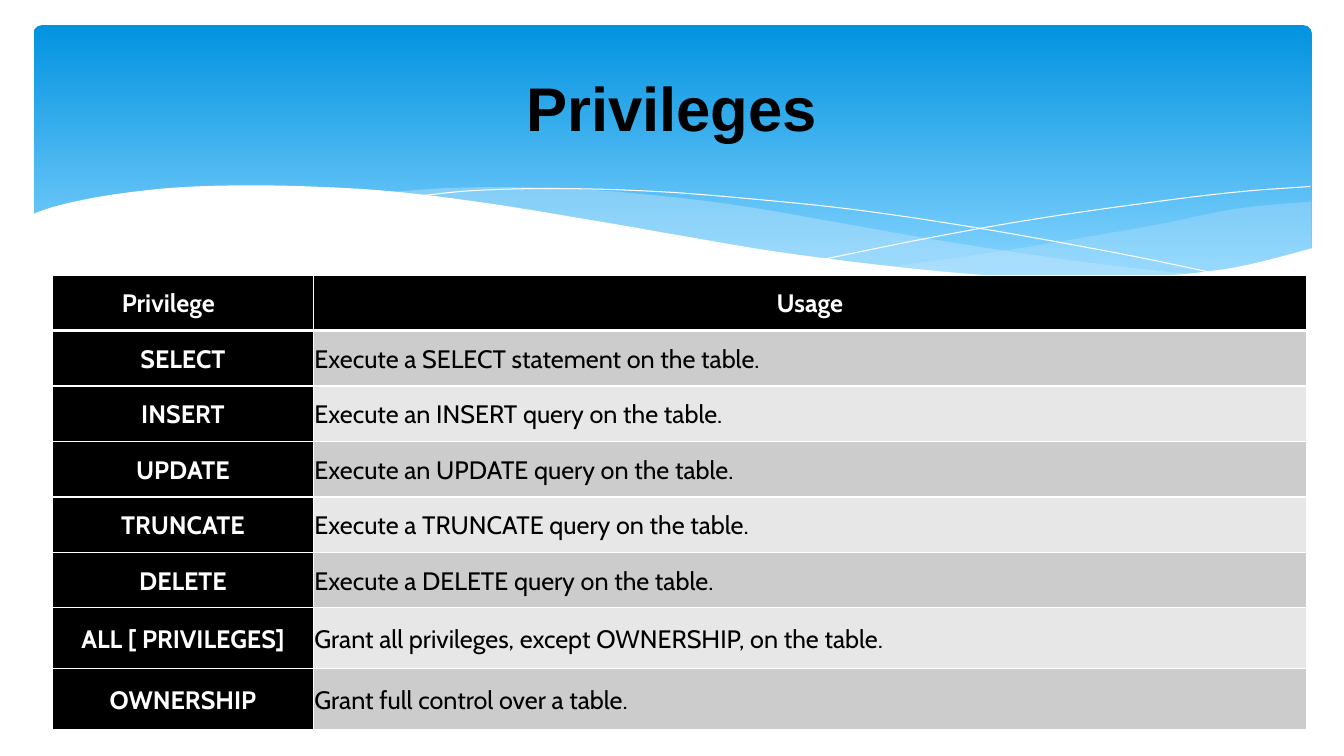
from lxml.etree import SubElement
from pptx import Presentation
from pptx.dml.color import RGBColor
from pptx.enum.shapes import MSO_SHAPE
from pptx.enum.text import MSO_ANCHOR, PP_ALIGN
from pptx.oxml import parse_xml
from pptx.oxml.ns import nsdecls, qn
from pptx.util import Inches, Pt

COLUMN = Inches(40 / 3) / 40
ROW = Inches(7.5) / 30

BACK_WAVE = [
    [(39.03, 8), (36.81, 8.28), (34.41, 8.92), (31.14, 9.68), (28.23, 10.28), (26.46, 10.6)],
    [(26.46, 10.6), (29.28, 10.92), (31.68, 11.08), (34.14, 11.04), (36.51, 10.68), (39.03, 9.88)],
]
MIDDLE_WAVE = [
    [(11.46, 7.64), (13.77, 7.44), (16.8, 7.48), (19.56, 7.76), (22.2, 8.2),
     (25.14, 8.88), (28.23, 9.6), (32.28, 10.4), (35.7, 10.92)],
    [(35.7, 10.92), (33.12, 11.12), (30.42, 11.08), (27.21, 10.72), (22.65, 9.92),
     (17.97, 8.88), (14.49, 8.12), (11.46, 7.64)],
]
FALLING_LINE = [
    [(12.36, 7.8), (14.1, 7.56), (16.65, 7.48), (19.56, 7.6), (22.26, 7.88),
     (25.44, 8.32), (29.07, 9.04), (33.24, 10.04), (36.3, 10.88)],
]
RISING_LINE = [
    [(24.54, 10.28), (27.81, 9.4), (31.05, 8.64), (34.65, 7.96), (36.96, 7.6), (39, 7.4)],
]
FRONT_WAVE = [
    [(39.09, 9.84), (36.81, 10.6), (34.53, 10.96), (32.34, 11.08), (29.76, 10.96),
     (26.73, 10.6), (23.16, 10), (20.13, 9.32), (17.88, 8.8), (14.58, 8.08), (11.7, 7.6),
     (9.18, 7.4), (7.05, 7.36), (5.28, 7.44), (3.81, 7.64), (2.67, 7.88), (1.62, 8.2),
     (0.93, 8.52)],
    [(0.93, 13.16), (39.09, 13.16)],
]
PRIVILEGES = [
    ("Privilege", "Usage"),
    ("SELECT", "Execute a SELECT statement on the table."),
    ("INSERT", "Execute an INSERT query on the table."),
    ("UPDATE", "Execute an UPDATE query on the table."),
    ("TRUNCATE", "Execute a TRUNCATE query on the table."),
    ("DELETE", "Execute a DELETE query on the table."),
    ("ALL [ PRIVILEGES]", "Grant all privileges, except OWNERSHIP, on the table."),
    ("OWNERSHIP", "Grant full control over a table."),
]


def color(hex_value):
    return RGBColor.from_string(hex_value)


def place(column, row):
    return round(column * COLUMN), round(row * ROW)


def set_attributes(target, values):
    for name, value in values.items():
        setattr(target, name, value)


def format_text(paragraph, hex_value, **values):
    set_attributes(paragraph.font, values)
    paragraph.font.color.rgb = color(hex_value)


def smooth_curve(points, steps=6):
    padded = [points[0], *points, points[-1]]
    curve = [points[0]]
    for before, start, end, after in zip(padded, padded[1:], padded[2:], padded[3:]):
        for step in range(1, steps + 1):
            t = step / steps
            curve.append(tuple(
                (2 * b + (c - a) * t + (2 * a - 5 * b + 4 * c - d) * t ** 2
                 + (3 * b - a - 3 * c + d) * t ** 3) / 2
                for a, b, c, d in zip(before, start, end, after)))
    return curve


def add_outline(slide, curves, closed):
    points = [place(*point) for curve in curves for point in smooth_curve(curve)]
    builder = slide.shapes.build_freeform(*points[0], scale=1.0)
    builder.add_line_segments(points[1:], close=closed)
    shape = builder.convert_to_shape()
    shape.shadow.inherit = False
    return shape


def add_wave(slide, curves, hex_value, opacity=100):
    shape = add_outline(slide, curves, True)
    shape.fill.solid()
    shape.fill.fore_color.rgb = color(hex_value)
    shape.line.fill.background()
    if opacity < 100:
        fill_color = shape._element.spPr.find(qn("a:solidFill"))[0]
        SubElement(fill_color, qn("a:alpha"), val=str(opacity * 1000))


def add_thin_line(slide, curves):
    shape = add_outline(slide, curves, False)
    shape.fill.background()
    shape.line.color.rgb = color("FFFFFF")
    shape.line.width = Pt(0)


def add_banner(slide):
    banner = slide.shapes.add_shape(
        MSO_SHAPE.ROUNDED_RECTANGLE, *place(1, 1), *place(38.04, 10.8))
    banner.adjustments[0] = 0.03
    banner.shadow.inherit = False
    banner.line.fill.background()
    banner.fill.gradient()
    banner.fill.gradient_angle = 270
    stops = [(0, "0293E0"), (0.9, "83D3FE")]
    for stop, (position, hex_value) in zip(banner.fill.gradient_stops, stops):
        stop.position = position
        stop.color.rgb = color(hex_value)


def add_title(slide, text):
    title = slide.shapes.title
    slide.shapes._spTree.append(title._element)
    (left, top), (width, height) = place(2, 1.48), place(36, 5.48)
    set_attributes(title, {"left": left, "top": top, "width": width, "height": height})
    title.text_frame.text = text
    title.text_frame.vertical_anchor = MSO_ANCHOR.MIDDLE
    paragraph = title.text_frame.paragraphs[0]
    paragraph.alignment = PP_ALIGN.CENTER
    format_text(paragraph, "000000", name="Arial", size=Pt(44), bold=True)


def set_borders(cell, widths):
    properties = cell._tc.get_or_add_tcPr()
    for index, (side, width) in enumerate(widths.items()):
        properties.insert(index, parse_xml(
            f'<a:ln{side} {nsdecls("a")} w="{Pt(width)}"><a:solidFill>'
            f'<a:srgbClr val="FFFFFF"/></a:solidFill></a:ln{side}>'))


def fill_cell(cell, text, row, column):
    dark = row == 0 or column == 0
    cell.text = text
    set_attributes(cell, {
        "vertical_anchor": MSO_ANCHOR.MIDDLE,
        "margin_left": Inches(0.01),
        "margin_right": Inches(0.3 if row == column == 0 else 0.01),
        "margin_top": Inches(0.01),
        "margin_bottom": Inches(0.01),
    })
    cell.fill.solid()
    cell.fill.fore_color.rgb = color("000000" if dark else ("E7E7E7", "CCCCCC")[row % 2])
    set_borders(cell, {"L": 1, "R": 1, "T": 3 if row == 1 else 1, "B": 3 if row == 0 else 1})
    paragraph = cell.text_frame.paragraphs[0]
    set_attributes(paragraph, {
        "alignment": PP_ALIGN.CENTER if dark else PP_ALIGN.LEFT,
        "line_spacing": 1.07,
        "space_after": Pt(8),
    })
    format_text(paragraph, "FFFFFF" if dark else "000000",
                name="Cabin", size=Pt(18), bold=dark)


def add_privilege_table(slide):
    table = slide.shapes.add_table(
        len(PRIVILEGES), 2, *place(1.56, 10.92), *place(37.32, 18)).table
    for column, width in zip(table.columns, (7.77, 29.55)):
        column.width = round(width * COLUMN)
    for row, texts in enumerate(PRIVILEGES):
        table.rows[row].height = round((2.2 if row < 6 else 2.42) * ROW)
        for column, text in enumerate(texts):
            fill_cell(table.cell(row, column), text, row, column)


def main():
    presentation = Presentation()
    presentation.slide_width, presentation.slide_height = place(40, 30)
    slide = presentation.slides.add_slide(presentation.slide_layouts[5])
    add_banner(slide)
    add_wave(slide, BACK_WAVE, "C6E7FC", 29)
    add_wave(slide, MIDDLE_WAVE, "C6E7FC", 40)
    add_thin_line(slide, FALLING_LINE)
    add_thin_line(slide, RISING_LINE)
    add_wave(slide, FRONT_WAVE, "FFFFFF")
    add_title(slide, "Privileges")
    add_privilege_table(slide)
    presentation.save("out.pptx")


if __name__ == "__main__":
    main()
